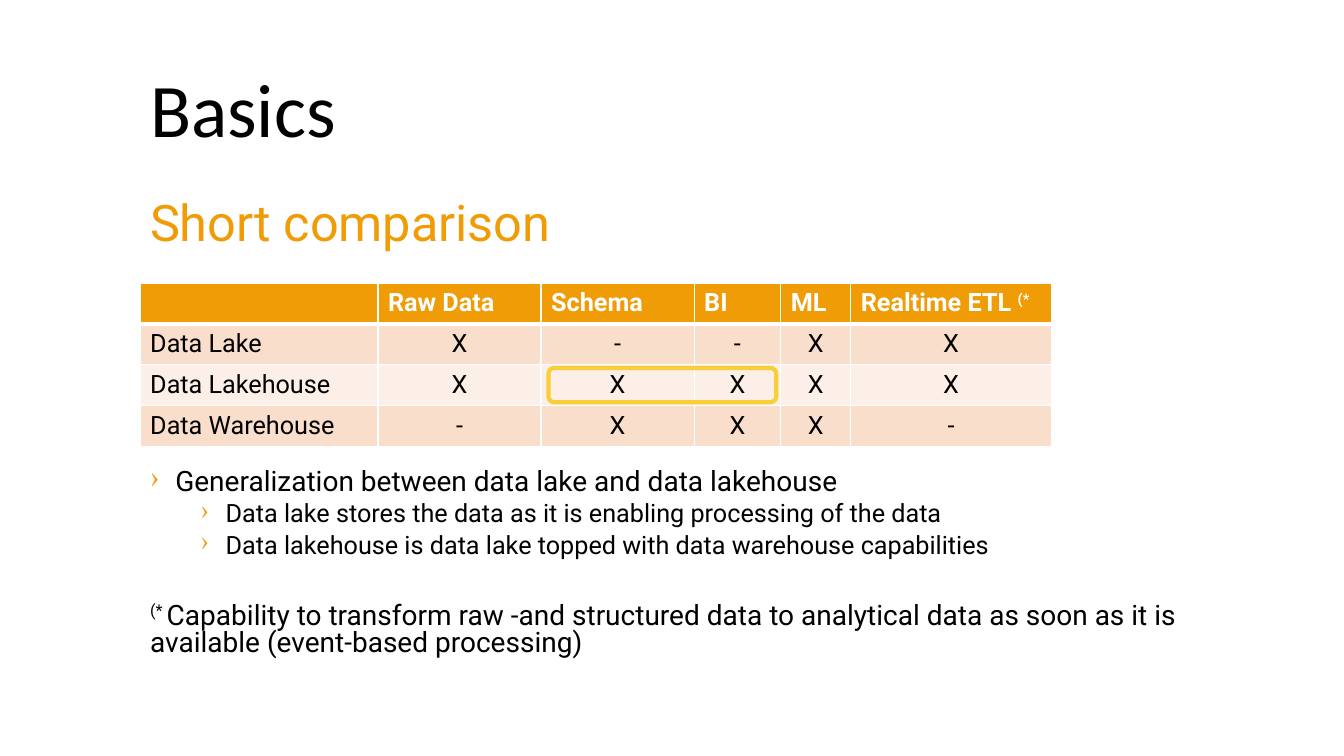
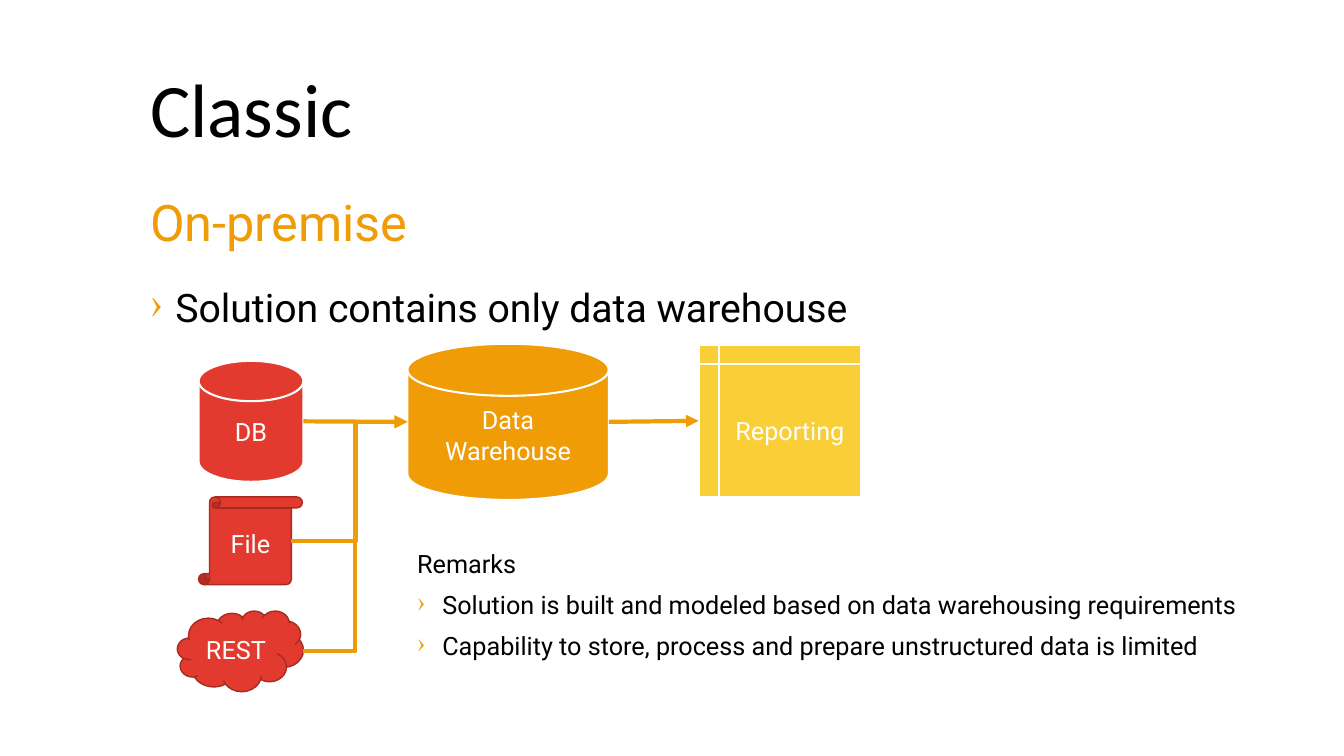
from pptx import Presentation, util as u
from pptx.dml import color as dc
from pptx.enum import shapes as es, text as et
from pptx.oxml import ns
from lxml import etree

WIDE, HIGH = 13.33, 7.5
PAGE = (0, 0, WIDE, HIGH)
HEAD, BODY = "Calibri", "Roboto"
GOLD, RED, DARK, SUN = "EF9C07", "E23A2E", "A72B22", "FACE37"
BLACK, WHITE = "000000", "FFFFFF"
BANDS = ("F9DECC", "FCEFE7")
LEFT, SPAN = 10.43, 81.1   # main text column, percent of the slide
KIND = es.MSO_SHAPE


# ---- shared helpers ----
def rgb(hue):
    return dc.RGBColor.from_string(hue)


def part(box, x, y, w, h):
    """Box inside a box, given in percent of the outer one."""
    bx, by, bw, bh = box
    return (bx + bw * x / 100, by + bh * y / 100, bw * w / 100, bh * h / 100)


def emu(box):
    return [u.Inches(n) for n in box]


def node(root, tag, **attrs):
    kid = etree.SubElement(root, ns.qn("a:" + tag))
    for key, val in attrs.items():
        kid.set(key, str(val))
    return kid


def paint(root, hue):
    node(node(root, "solidFill"), "srgbClr", val=hue)


def write(para, words, size, hue=BLACK, font=BODY, bold=False):
    """Fill a paragraph; a piece that opens with (* is raised."""
    pieces = [words] if isinstance(words, str) else words
    para.text = pieces[0]
    for piece in pieces[1:]:
        para.add_run().text = piece
    for run in para.runs:
        run.font.size, run.font.name = u.Pt(size), font
        run.font.bold, run.font.color.rgb = bold, rgb(hue)
        if run.text.startswith("(*"):
            run.font._element.set("baseline", "30000")


def bullet(para, level):
    props = para._p.get_or_add_pPr()
    props.set("marL", str(u.Inches(0.25 + 0.5 * level)))
    props.set("indent", str(u.Inches(-0.25)))
    node(node(props, "buClr"), "srgbClr", val=GOLD)
    node(props, "buChar", char="›")


def block(slide, box, items, lead=0.9, mid=False, **look):
    """Text box; an item is words, size, bullet level or None, space before."""
    frame = slide.shapes.add_textbox(*emu(box)).text_frame
    frame.word_wrap = True
    if mid:
        frame.vertical_anchor = et.MSO_ANCHOR.MIDDLE
    for num, (words, size, level, gap) in enumerate(items):
        para = frame.add_paragraph() if num else frame.paragraphs[0]
        write(para, words, size, **look)
        para.line_spacing, para.space_before = lead, u.Pt(gap)
        if level is not None:
            para.level = level
            bullet(para, level)


def shape(slide, kind, box, fill, edge, width, words=""):
    item = slide.shapes.add_shape(kind, *emu(box))
    item.shadow.inherit = False
    if fill:
        item.fill.solid()
        item.fill.fore_color.rgb = rgb(fill)
    else:
        item.fill.background()
    item.line.color.rgb, item.line.width = rgb(edge), u.Pt(width)
    if words:
        frame = item.text_frame
        frame.word_wrap = True
        frame.vertical_anchor = et.MSO_ANCHOR.MIDDLE
        write(frame.paragraphs[0], words, 18, WHITE)
        frame.paragraphs[0].alignment = et.PP_ALIGN.CENTER
    return item


def arrow(slide, start, end, bend=None):
    """Arrow between two points; bend is the share of the way to turn at."""
    kind = es.MSO_CONNECTOR.ELBOW if bend else es.MSO_CONNECTOR.STRAIGHT
    link = slide.shapes.add_connector(kind, *emu(start + end))
    link.line.color.rgb, link.line.width = rgb(GOLD), u.Pt(3)
    props = link._element.spPr
    node(props.find(ns.qn("a:ln")), "tailEnd", type="triangle")
    node(props, "effectLst")
    if bend:
        turns = props.find(ns.qn("a:prstGeom")).find(ns.qn("a:avLst"))
        node(turns, "gd", name="adj1", fmla=f"val {round(bend * 100000)}")
    return link


def west(box):
    return (box[0], box[1] + box[3] / 2)


def east(box, inset=0):
    return (box[0] + box[2] - inset, box[1] + box[3] / 2)


def page(deck, title, topic):
    """Blank slide with title and subtitle."""
    slide = deck.slides.add_slide(deck.slide_layouts[6])
    block(slide, part(PAGE, LEFT, 5.33, SPAN, 19.2),
          [(title, 54, None, 0)], mid=True, font=HEAD)
    block(slide, part(PAGE, LEFT, 25.47, SPAN, 9.6),
          [(topic, 36, None, 10)], hue=GOLD)
    return slide


# ---- comparison table ----
COLS = (26.1, 17.9, 16.8, 9.5, 7.7, 22)
ROWS = (
    ("", "Raw Data", "Schema", "BI", "ML", ("Realtime ETL ", "(*")),
    ("Data Lake", "X", "-", "-", "X", "X"),
    ("Data Lakehouse", "X", "X", "X", "X", "X"),
    ("Data Warehouse", "-", "X", "X", "X", "-"),
)


def border(cell, row):
    props = cell._tc.get_or_add_tcPr()
    thick = {"B": 0, "T": 1}   # the rule below the header row
    for side in "LRTB":
        width = 3 if thick.get(side) == row else 1
        paint(node(props, "ln" + side, w=u.Pt(width)), WHITE)


def grid(slide, box):
    table = slide.shapes.add_table(len(ROWS), len(COLS), *emu(box)).table
    for col, share in zip(table.columns, COLS):
        col.width = u.Inches(box[2] * share / 100)
    for r, row in enumerate(ROWS):
        for c, words in enumerate(row):
            cell = table.cell(r, c)
            border(cell, r)
            cell.fill.solid()
            cell.fill.fore_color.rgb = rgb(BANDS[(r - 1) % 2] if r else GOLD)
            if words:
                para = cell.text_frame.paragraphs[0]
                write(para, words, 18, BLACK if r else WHITE, bold=not r)
                if r and c:
                    para.alignment = et.PP_ALIGN.CENTER
    # frame around the shared warehouse abilities
    shape(slide, KIND.ROUNDED_RECTANGLE, part(box, 44.8, 51.85, 25, 21),
          None, SUN, 3)


def basics(deck):
    slide = page(deck, "Basics", "Short comparison")
    grid(slide, part(PAGE, LEFT, 37.47, 67.8, 21.6))
    block(slide, part(PAGE, LEFT, 61.47, SPAN, 26.4), [
        ("Generalization between data lake and data lakehouse", 20, 0, 10),
        ("Data lake stores the data as it is enabling processing of the data",
         18, 1, 5),
        ("Data lakehouse is data lake topped with data warehouse capabilities",
         18, 1, 5),
        (("(* ", "Capability to transform raw -and structured data to "
          "analytical data as soon as it is available "
          "(event-based processing)"), 20, None, 32),
    ], lead=0.8)


# ---- data flow diagram ----
def flow(slide, box):
    base = part(box, 3.1, 4.93, 15.34, 34.78)
    file = part(box, 3.1, 44.06, 15.19, 25.22)
    rest = part(box, 0, 76.81, 18.44, 23.19)
    store = part(box, 33.63, 0, 29.5, 44.93)
    view = part(box, 76.25, 0.29, 23.75, 43.77)
    disk = KIND.FLOWCHART_MAGNETIC_DISK

    # stores and sources
    shape(slide, disk, store, GOLD, WHITE, 1.5, "Data Warehouse")
    shape(slide, disk, base, RED, WHITE, 1.5, "DB")
    shape(slide, KIND.CLOUD, rest, RED, DARK, 1, "REST")
    shape(slide, KIND.VERTICAL_SCROLL, file, RED, DARK, 1, "File")
    report = shape(slide, KIND.FLOWCHART_INTERNAL_STORAGE, view,
                   SUN, WHITE, 1.5, "Reporting")

    # arrows; the scroll's sheet ends an eighth of its height early
    arrow(slide, east(base), west(store))
    arrow(slide, east(rest), west(store), 0.5)
    arrow(slide, east(file, file[3] / 8), west(store), 0.56)
    arrow(slide, east(store), west(view)).end_connect(report, 1)


def classic(deck):
    slide = page(deck, "Classic", "On-premise")
    block(slide, part(PAGE, LEFT, 37.47, SPAN, 7.87),
          [("Solution contains only data warehouse", 28, 0, 10)])
    flow(slide, part(PAGE, 13.2, 45.47, 50.86, 46))
    block(slide, part(PAGE, 30.3, 72.27, 64.3, 22.4), [
        ("Remarks", 18, None, 10),
        ("Solution is built and modeled based on data warehousing "
         "requirements", 18, 0, 10),
        ("Capability to store, process and prepare unstructured data is "
         "limited", 18, 0, 10),
    ])


def main():
    deck = Presentation()
    deck.slide_width, deck.slide_height = u.Inches(WIDE), u.Inches(HIGH)
    basics(deck)
    classic(deck)
    deck.save("out.pptx")


if __name__ == "__main__":
    main()
